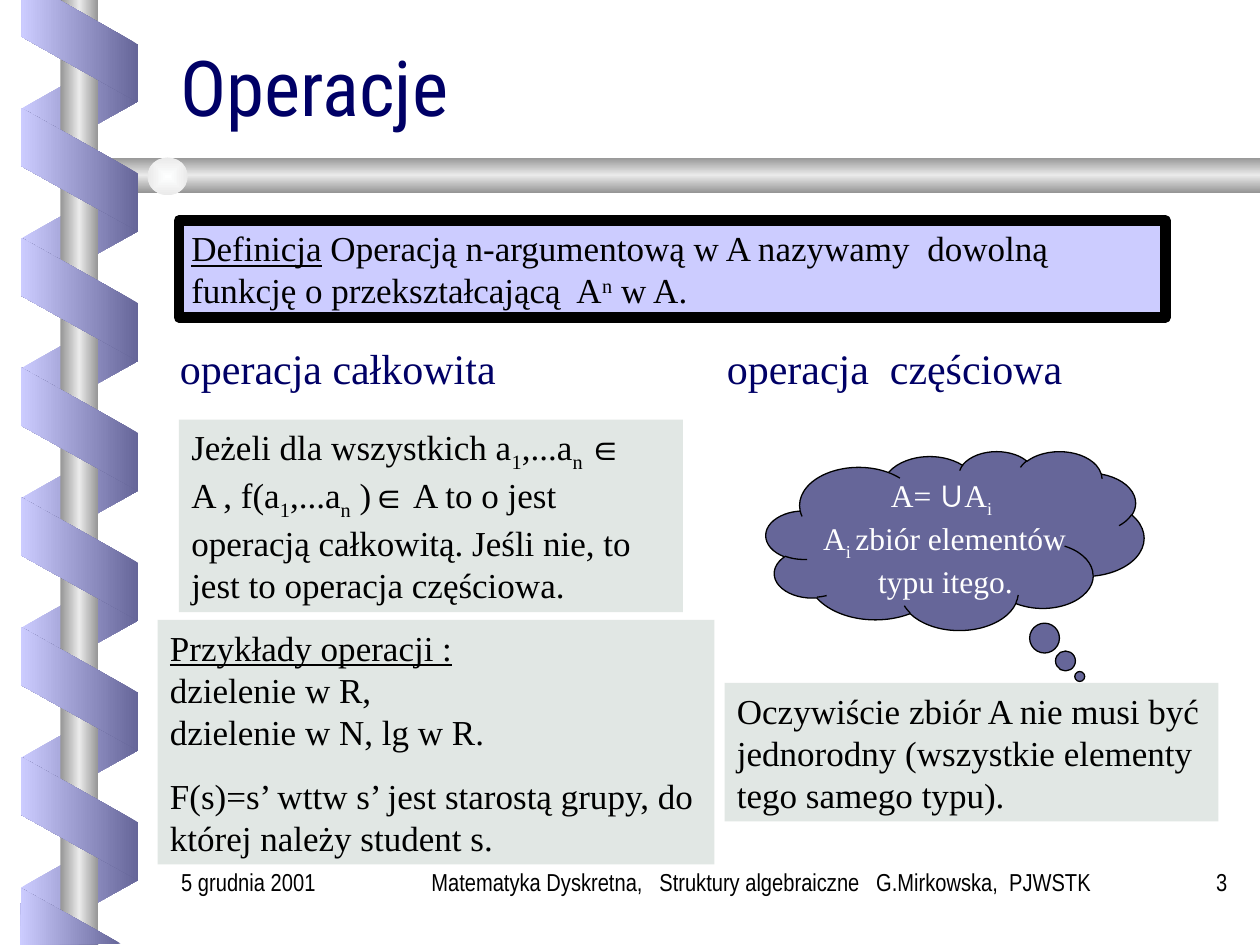
from lxml import etree
from pptx import Presentation
from pptx.dml.color import RGBColor
from pptx.enum.shapes import MSO_SHAPE as SHAPE
from pptx.enum.text import MSO_ANCHOR as ANCHOR, PP_ALIGN as ALIGN
from pptx.oxml.ns import qn
from pptx.util import Inches, Pt

LAVENDER = RGBColor(0xCC, 0xCC, 0xFF)
VIOLET = RGBColor(0x66, 0x66, 0x99)
NAVY = RGBColor(0x00, 0x00, 0x66)
MIST = RGBColor(0xE1, 0xE7, 0xE4)
GREY = RGBColor(0x96, 0x96, 0x96)
SILVER = RGBColor(0xEA, 0xEA, 0xEA)
PEARL = RGBColor(0xFE, 0xFF, 0xFF)
BLACK = RGBColor(0, 0, 0)
WHITE = RGBColor(0xFF, 0xFF, 0xFF)

SERIF, SYMBOL = "Times New Roman", "Arial"
SUB, SUP = -25000, 30000
METAL = (GREY, SILVER, GREY)
RIBBON_STEP = 1.03


def write(frame, paragraphs, size=20, font=SERIF, color=BLACK, align=ALIGN.LEFT,
          anchor=ANCHOR.TOP, wrap=True, gap=0):
    """Each paragraph is a list of strings or (string, run options)."""
    frame.word_wrap = wrap
    frame.vertical_anchor = anchor
    for number, pieces in enumerate(paragraphs):
        paragraph = frame.add_paragraph() if number else frame.paragraphs[0]
        paragraph.alignment = align
        if number:
            paragraph.space_before = Pt(gap)
        for piece in pieces:
            words, style = (piece, {}) if isinstance(piece, str) else piece
            for row, line in enumerate(words.split("\n")):
                if row:
                    paragraph.add_line_break()
                if not line:
                    continue
                run = paragraph.add_run()
                run.text = line
                run.font.size = Pt(style.get("size", size))
                run.font.name = style.get("font", font)
                run.font.color.rgb = color
                if style.get("underline"):
                    run.font.underline = True
                if "base" in style:
                    run.font._element.set("baseline", str(style["base"]))


def add_text(slide, box, paragraphs, **style):
    label = slide.shapes.add_textbox(*map(Inches, box))
    write(label.text_frame, paragraphs, **style)


def add_form(slide, kind, box, fill=None, border=None):
    form = slide.shapes.add_shape(kind, *map(Inches, box))
    form.shadow.inherit = False
    if fill is not None:
        form.fill.solid()
        form.fill.fore_color.rgb = fill
    if border:
        form.line.color.rgb = BLACK
        form.line.width = Pt(border)
    else:
        form.line.fill.background()
    return form


def add_outline(slide, points):
    builder = slide.shapes.build_freeform(
        *[Inches(v) for v in points[0]], scale=1.0)
    builder.add_line_segments([(Inches(x), Inches(y)) for x, y in points[1:]])
    outline = builder.convert_to_shape()
    outline.shadow.inherit = False
    outline.line.fill.background()
    return outline


def shade(form, colors, angle=None):
    """Gradient fixed to the page; without an angle it spreads from the centre."""
    form.fill.gradient()
    grad = form.element.spPr.find(qn("a:gradFill"))
    grad.set("rotWithShape", "0")
    for child in list(grad):
        grad.remove(child)
    stops = etree.SubElement(grad, qn("a:gsLst"))
    for number, color in enumerate(colors):
        position = 100000 * number // (len(colors) - 1)
        stop = etree.SubElement(stops, qn("a:gs"), pos=str(position))
        etree.SubElement(stop, qn("a:srgbClr"), val=str(color))
    if angle is None:
        centre = etree.SubElement(grad, qn("a:path"), {"path": "rect"})
        etree.SubElement(centre, qn("a:fillToRect"),
                         {side: "50000" for side in "ltrb"})
    else:
        etree.SubElement(grad, qn("a:lin"), ang=str(angle * 60000), scaled="0")


def add_ribbons(slide, left, top, count, front):
    for turn in range(count):
        ribbon = add_form(slide, SHAPE.PARALLELOGRAM,
                          (left, top + turn * RIBBON_STEP, 0.98, 0.93))
        ribbon.adjustments[0] = 0.56
        ribbon.rotation = 270 if front else 90
        if not front:
            ribbon.element.spPr.find(qn("a:xfrm")).set("flipH", "1")
        shade(ribbon, (VIOLET, LAVENDER) if front else (LAVENDER, VIOLET), 180)


def add_spiral(slide, left):
    add_ribbons(slide, left, 0.37, 7, front=False)
    # Pole, crossbar and its knob
    pole = add_form(slide, SHAPE.RECTANGLE, (left + 0.34, 0, 0.3, 7.5))
    shade(pole, METAL, 180)
    crossbar = add_outline(slide, [(10, 1.25), (0.76, 1.25), (0.6, 1.39),
                                   (0.76, 1.53), (10, 1.53)])
    shade(crossbar, METAL, 90)
    knob = add_form(slide, SHAPE.OVAL, (1.17, 1.25, 0.32, 0.3))
    shade(knob, (PEARL, SILVER))
    # Front turns and the cut ends at the slide's edges
    add_ribbons(slide, left, 0.88, 6, front=True)
    ends = ([(0.17, 0), (0.17, 0.29), (1.09, 0.81), (1.09, 0.35), (0.47, 0)],
            [(0.96, 7.49), (0.17, 7.05), (0.16, 7.5)])
    for points in ends:
        shade(add_outline(slide, points), (VIOLET, LAVENDER), 180)


def add_title(slide, box):
    title = slide.shapes.title
    title.left, title.top, title.width, title.height = map(Inches, box)
    write(title.text_frame, [["Operacje"]], size=44, font="Roboto Condensed",
          color=NAVY, anchor=ANCHOR.BOTTOM)
    title.text_frame.paragraphs[0].line_spacing = 0.8


def add_panel(slide, box, paragraphs, fill=MIST, border=None):
    panel = add_form(slide, SHAPE.RECTANGLE, box, fill, border)
    write(panel.text_frame, paragraphs, gap=12.5)


def add_thought(slide, box):
    cloud = add_form(slide, SHAPE.CLOUD_CALLOUT, box, VIOLET, 0.75)
    cloud.adjustments[0], cloud.adjustments[1] = 0.33, 0.76
    write(cloud.text_frame,
          [["A= ", ("∪", {"font": SYMBOL, "size": 20}), "A", ("i\n", {"base": SUB}),
            " A", ("i ", {"base": SUB}), "zbiór elementów\n typu itego."]],
          size=18, color=WHITE, align=ALIGN.CENTER, anchor=ANCHOR.MIDDLE, wrap=False)


def add_footer(slide, top, height):
    parts = [
        (1.34, 1.74, "5 grudnia 2001", ALIGN.LEFT),
        (3.17, 5.75, "Matematyka Dyskretna,   Struktury algebraiczne   "
                     "G.Mirkowska,  PJWSTK", ALIGN.CENTER),
        (9, 0.84, "3", ALIGN.RIGHT),
    ]
    for left, width, words, align in parts:
        add_text(slide, (left, top, width, height), [[words]], size=14,
                 font="Arial Narrow", align=align)


def main():
    deck = Presentation()
    deck.slide_width, deck.slide_height = Inches(10), Inches(7.5)
    slide = deck.slides.add_slide(deck.slide_layouts[5])
    underlined, low = {"underline": True}, {"base": SUB}
    element_of = ("∈", {"font": SYMBOL})

    add_spiral(slide, 0.14)
    add_title(slide, (1.33, 0.46, 8.5, 0.63))

    # Definition
    add_panel(slide, (1.42, 1.75, 7.83, 0.77),
              [[("Definicja", underlined),
                " Operacją n-argumentową w A nazywamy  dowolną funkcję "
                "o przekształcającą  A", ("n", {"base": SUP}), " w A."]],
              fill=LAVENDER, border=6)

    # Column headings
    for left, heading in ((1.33, "operacja całkowita"), (5.67, "operacja  częściowa")):
        add_text(slide, (left, 2.67, 3.67, 0.57), [[heading]], size=24,
                 color=NAVY, wrap=False)

    # Total operation, remark on the set, examples
    add_panel(slide, (1.42, 3.33, 4, 1.53),
              [["Jeżeli dla wszystkich a", ("1", low), ",...a", ("n ", low), element_of,
                " A , f(a", ("1", low), ",...a", ("n", low), " )", element_of,
                " A to o jest operacją całkowitą. Jeśli nie, "
                "to jest to operacja częściowa."]])
    add_panel(slide, (5.75, 5.42, 3.92, 1.1),
              [["Oczywiście zbiór A nie musi być jednorodny "
                "(wszystkie elementy tego samego typu)."]])
    add_panel(slide, (1.25, 4.92, 4.42, 1.94),
              [[("Przykłady operacji :\n", underlined),
                "dzielenie w R,\ndzielenie w N, lg w R."],
               ["F(s)=s’ wttw s’ jest starostą grupy, do której należy student s."]])

    add_thought(slide, (6.08, 3.58, 3, 1.42))
    add_footer(slide, 6.83, 0.5)
    deck.save("out.pptx")


if __name__ == "__main__":
    main()
